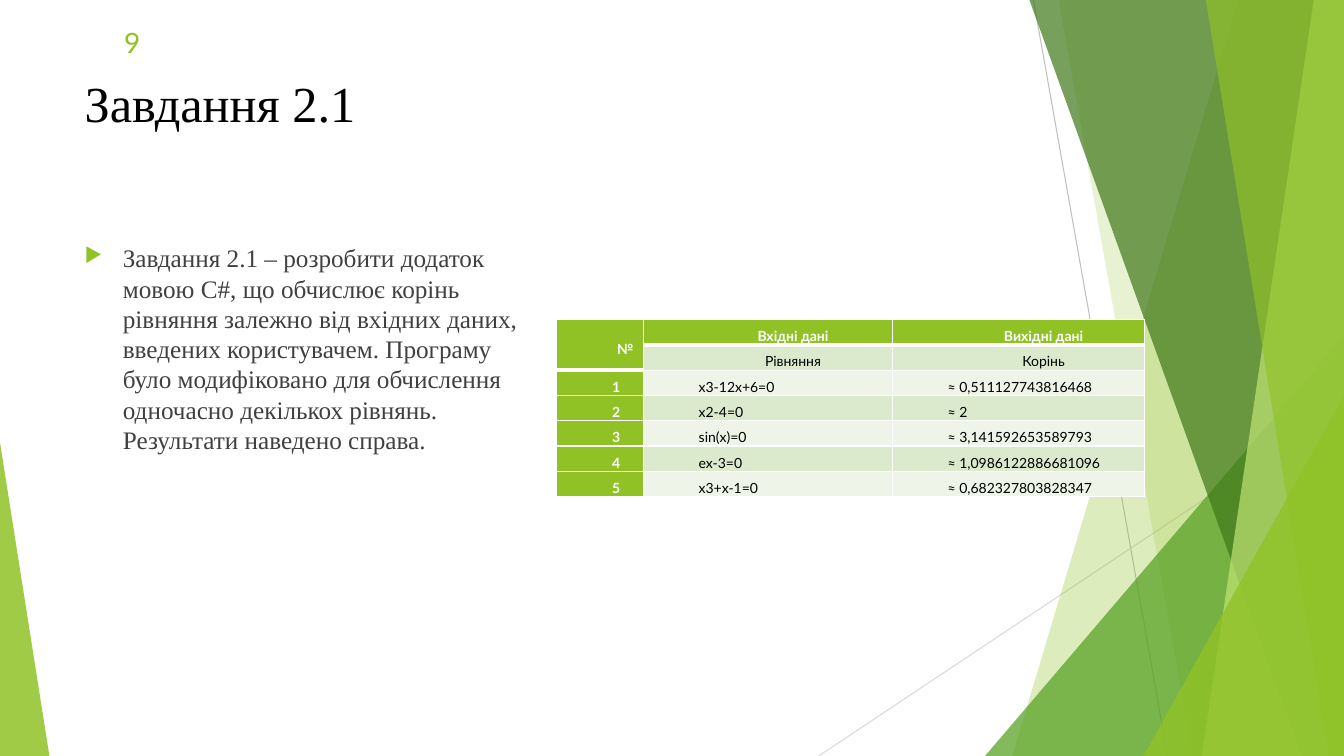
"""Build the slide for task 2.1: its description and the table of equation roots."""
from lxml import etree
from pptx import Presentation
from pptx.dml.color import RGBColor
from pptx.enum.shapes import MSO_CONNECTOR, MSO_SHAPE
from pptx.enum.text import MSO_ANCHOR, PP_ALIGN
from pptx.oxml.ns import qn
from pptx.util import Inches, Pt

STRAIGHT = MSO_CONNECTOR.STRAIGHT
TRIANGLE = MSO_SHAPE.ISOSCELES_TRIANGLE
TOP, MIDDLE = MSO_ANCHOR.TOP, MSO_ANCHOR.MIDDLE
LEFT, RIGHT = PP_ALIGN.LEFT, PP_ALIGN.RIGHT
CENTER, JUSTIFY = PP_ALIGN.CENTER, PP_ALIGN.JUSTIFY

WIDTH, HEIGHT = 13.33, 7.5
COLORS = {
    "lime": "90C226", "green": "54A021", "forest": "3F7819", "pale": "C0E474",
    "odd": "EEF4E8", "even": "DBE9CD", "white": "FFFFFF", "black": "000000",
    "text": "404040", "gray": "BFBFBF", "silver": "D9D9D9",
}
SERIF, SANS = "Times New Roman", "Lato"

TITLE = "Завдання 2.1"
BODY = ("Завдання 2.1 – розробити додаток мовою С#, що обчислює корінь рівняння "
        "залежно від вхідних даних, введених користувачем. Програму було модифіковано "
        "для обчислення одночасно декількох рівнянь. Результати наведено справа.")
PAGE_NUMBER = "9"
ROWS = [
    ("№", "Вхідні дані", "Вихідні дані"),
    ("", "Рівняння", "Корінь"),
    ("1", "x3-12x+6=0", "≈ 0,511127743816468"),
    ("2", "x2-4=0", "≈ 2"),
    ("3", "sin(x)=0", "≈ 3,141592653589793"),
    ("4", "ex-3=0", "≈ 1,0986122886681096"),
    ("5", "x3+x-1=0", "≈ 0,682327803828347"),
]
COLUMN_WIDTHS = (0.86, 2.47, 2.5)
ROW_HEIGHT = 0.22

LINES = [((10.25, 0), (11.58, HEIGHT), "gray"), ((WIDTH, 4.03), (8.12, HEIGHT), "silver")]
# Each facet is a kind, its geometry, a colour and an opacity in percent.
FACETS = [
    ("band", (12.28, 10.04), "lime", 30),
    ("band", (10.5, 11.83), "lime", 20),
    ("triangle", (9.77, 3.33, 3.56, 1), "green", 72),
    ("band", (10.21, 12.91), "forest", 70),
    ("band", (13.03, 11.92), "pale", 70),
    ("band", (11.96, 13.18), "lime", 65),
    ("triangle", (11.34, 3.93, 1.99, 1), "lime", 80),
    ("triangle", (0, 4.39, 0.49, 0), "lime", 85),
]


def rgb(name):
    """Return the named colour."""
    return RGBColor.from_string(COLORS[name])


def add_node(parent, tag, **attributes):
    """Append an XML element and return it."""
    return etree.SubElement(parent, qn(tag), attributes)


def apply(target, values):
    """Set every attribute in a dict of format values."""
    for name, value in values.items():
        setattr(target, name, value)


def write(frame, text, size, font, color, bold=False, frame_format=None, **para_format):
    """Put one formatted paragraph into a text frame and return it."""
    apply(frame, frame_format or {})
    para = frame.paragraphs[0]
    apply(para, para_format)
    span = para.add_run()
    span.text = text
    apply(span.font, {"size": Pt(size), "name": font, "bold": bold})
    span.font.color.rgb = rgb(color)
    return para


def add_band(page, top_x, bottom_x):
    """Draw an area bounded by a slanted edge and the right side of the slide."""
    corners = [(WIDTH, 0), (WIDTH, HEIGHT), (bottom_x, HEIGHT)]
    builder = page.shapes.build_freeform(Inches(top_x), 0)
    builder.add_line_segments([(Inches(x), Inches(y)) for x, y in corners])
    return builder.convert_to_shape()


def add_triangle(page, left, top, width, apex):
    """Draw a triangle standing on the bottom of the slide."""
    box = page.shapes.add_shape(
        TRIANGLE, *map(Inches, (left, top, width, HEIGHT - top)))
    box.adjustments[0] = apex
    return box


def add_background(page):
    """Draw the thin lines and the translucent facets."""
    for start, end, color in LINES:
        line = page.shapes.add_connector(STRAIGHT, *map(Inches, start + end))
        line.line.width = Pt(0.75)
        line.line.color.rgb = rgb(color)
        add_node(line._element.spPr, "a:effectLst")
    makers = {"band": add_band, "triangle": add_triangle}
    for kind, geometry, color, opacity in FACETS:
        facet = makers[kind](page, *geometry)
        facet.shadow.inherit = False
        facet.line.fill.background()
        facet.fill.solid()
        facet.fill.fore_color.rgb = rgb(color)
        fill = facet._element.spPr.find(qn("a:solidFill"))
        add_node(fill[0], "a:alpha", val=str(opacity * 1000))


def add_texts(page):
    """Write the title, the description and the page number."""
    title = page.shapes.title
    apply(title, dict(zip(("left", "top", "width", "height"),
                          map(Inches, (0.74, 0.67, 9.4, 1.44)))))
    page.shapes._spTree.append(title._element)
    write(title.text_frame, TITLE, 36, SERIF, "black", alignment=LEFT,
          frame_format={"vertical_anchor": TOP, "word_wrap": True})

    body = page.shapes.add_textbox(*map(Inches, (0.74, 2.36, 4.58, 4.24)))
    para = write(body.text_frame, BODY, 18, SERIF, "text", space_before=Pt(10),
                 frame_format={"word_wrap": True})
    props = para._p.get_or_add_pPr()
    apply_indent(props, 0.38, -0.38)
    add_node(add_node(props, "a:buClr"), "a:srgbClr", val=COLORS["lime"])
    add_node(props, "a:buSzPct", val="80000")
    add_node(props, "a:buChar", char="▶")

    number = page.shapes.add_textbox(*map(Inches, (0.74, 0.22, 0.75, 0.4)))
    write(number.text_frame, PAGE_NUMBER, 20, SANS, "lime", alignment=RIGHT,
          frame_format={"vertical_anchor": MIDDLE, "word_wrap": True})


def apply_indent(props, margin, first_line):
    """Set the left margin and first-line indent of a paragraph."""
    props.set("marL", str(Inches(margin)))
    props.set("indent", str(Inches(first_line)))


def add_borders(cell, bottom):
    """Give a cell white borders with the stated bottom width."""
    props = cell._tc.get_or_add_tcPr()
    sides = {"a:lnL": 1, "a:lnR": 1, "a:lnT": 1, "a:lnB": bottom}
    for place, (tag, points) in enumerate(sides.items()):
        line = add_node(props, tag, w=str(Pt(points)))
        add_node(add_node(line, "a:solidFill"), "a:srgbClr", val=COLORS["white"])
        props.insert(place, line)


def add_results(page):
    """Fill the table of equations and roots."""
    frame = page.shapes.add_table(
        len(ROWS), len(COLUMN_WIDTHS), Inches(5.52), Inches(3.17),
        Inches(sum(COLUMN_WIDTHS)), Inches(ROW_HEIGHT * len(ROWS)))
    table = frame.table
    for column, width in zip(table.columns, COLUMN_WIDTHS):
        column.width = Inches(width)
    for row in table.rows:
        row.height = Inches(ROW_HEIGHT)
    table.cell(0, 0).merge(table.cell(1, 0))
    for r, texts in enumerate(ROWS):
        for c, text in enumerate(texts):
            cell = table.cell(r, c)
            heading = r == 0 or c == 0
            apply(cell, {"margin_left": Inches(0.05), "margin_right": Inches(0.05),
                         "margin_top": 0, "margin_bottom": 0,
                         "vertical_anchor": MIDDLE if r + c == 0 else TOP})
            cell.fill.solid()
            cell.fill.fore_color.rgb = rgb("lime" if heading else ("odd", "even")[r % 2])
            para = write(cell.text_frame, text, 10, SANS, "white" if heading else "black",
                         heading, alignment=CENTER if r < 2 else JUSTIFY, line_spacing=1.5)
            apply_indent(para._p.get_or_add_pPr(), 0.5, 0)
            add_borders(cell, 3 if r == 0 or (r, c) == (1, 0) else 1)
    for r in range(2, len(ROWS)):
        for c in (1, 2):
            table.cell(r, c).fill.fore_color.rgb = rgb(("odd", "even")[r % 2])
    for r in (1,):
        for c in (1, 2):
            table.cell(r, c).fill.fore_color.rgb = rgb("even")


def main():
    """Assemble and save the deck."""
    deck = Presentation()
    deck.slide_width, deck.slide_height = Inches(WIDTH), Inches(HEIGHT)
    page = deck.slides.add_slide(deck.slide_layouts[5])
    add_background(page)
    add_texts(page)
    add_results(page)
    deck.save("out.pptx")


if __name__ == "__main__":
    main()
